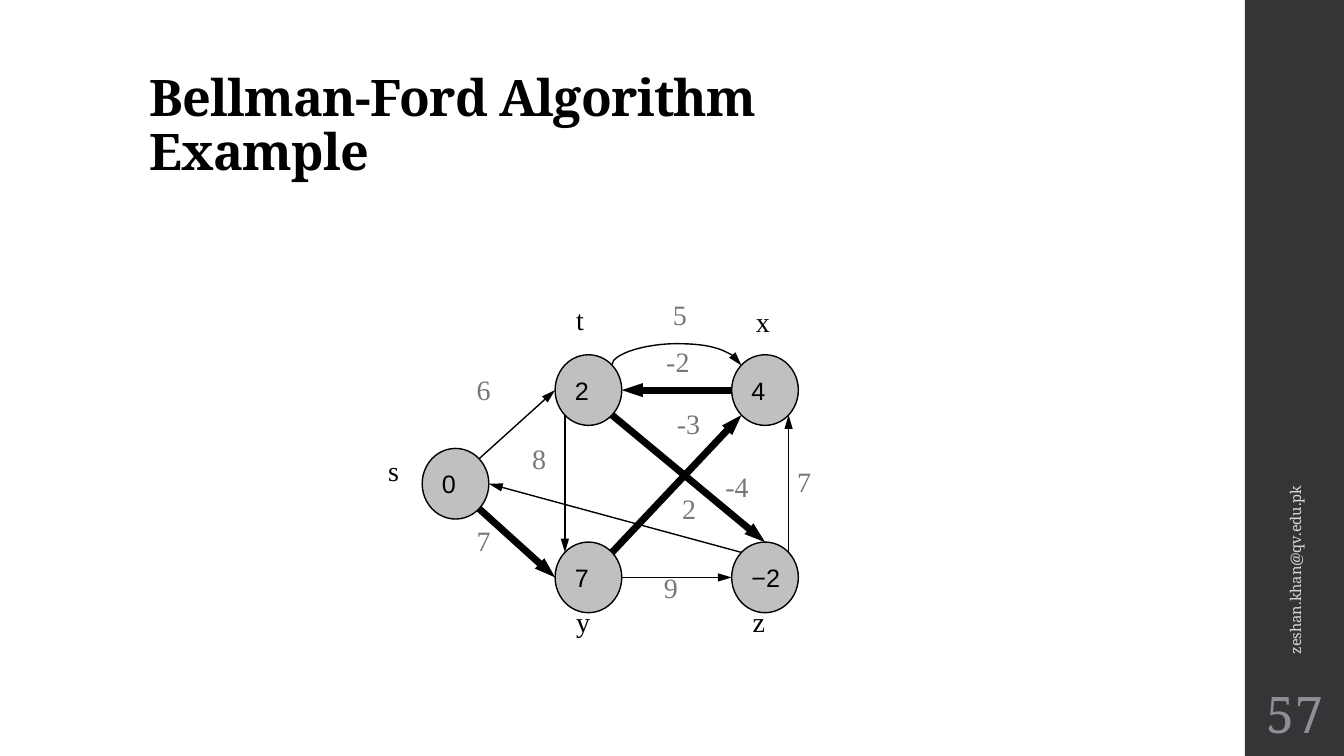
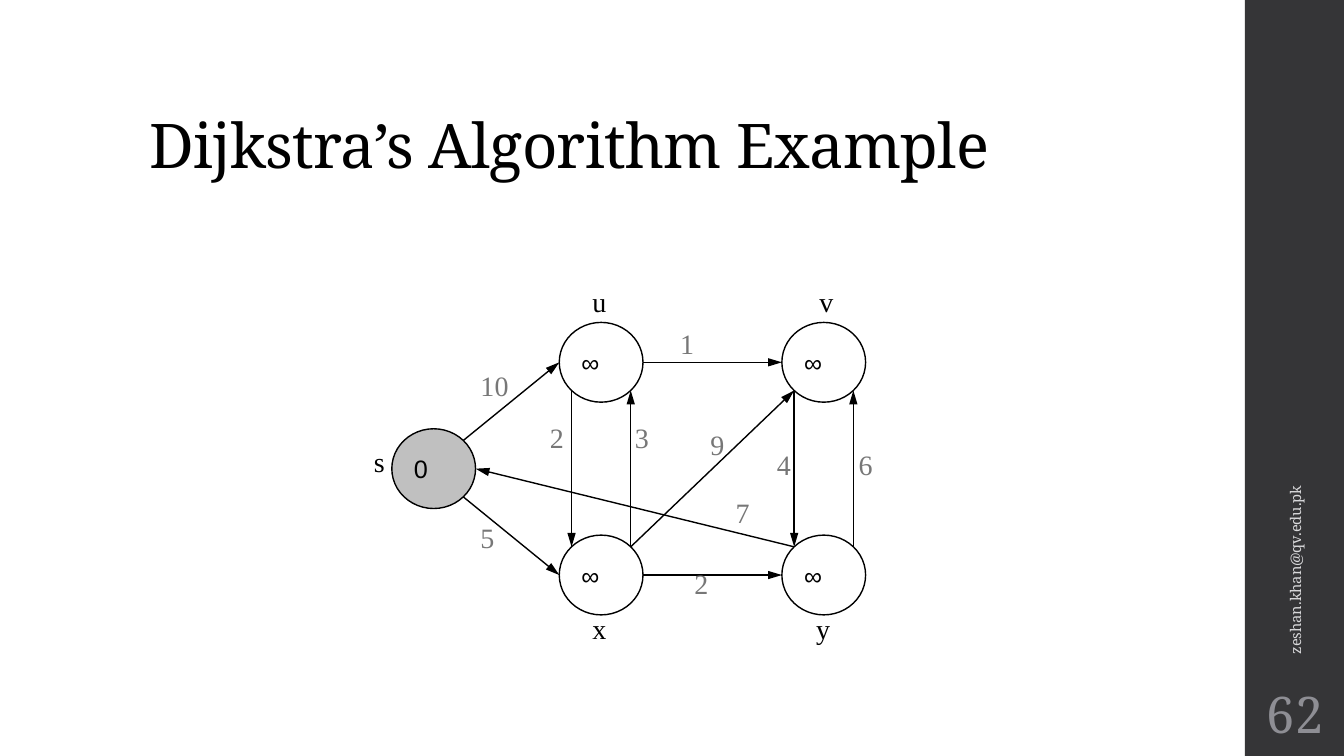
from pptx import Presentation
from pptx import util as u
from pptx.dml import color
from pptx.enum import shapes, text
from pptx.oxml import ns
from lxml import etree

INK, GREY, NODE = "000000", "777777", "C0C0C0"
BAND, CONTACT, NUMBER = "353537", "D9D9DB", "8E8E94"
SERIF, SANS, LABEL = "Noto Serif", "Arial", "Times New Roman"
SIDES = {"n": (0, -1), "s": (0, 1), "w": (-1, 0), "e": (1, 0),
         "nw": (-1, -1), "ne": (1, -1), "sw": (-1, 1), "se": (1, 1)}
DIAGONAL = 0.5 ** 0.5
THIN, THICK = 1, 5


def rgb(value):
    return color.RGBColor.from_string(value)


def add_xml(parent, tag, **attributes):
    return etree.SubElement(parent, ns.qn(tag), attributes)


def write(box, words, size, font, ink, bold=False, align=text.PP_ALIGN.LEFT,
          anchor=text.MSO_ANCHOR.TOP, wrap=True, leading=None, spacing=None):
    frame = box.text_frame
    frame.word_wrap = wrap
    frame.vertical_anchor = anchor
    para = frame.paragraphs[0]
    para.text = words
    para.alignment = align
    para.line_spacing = leading
    for span in para.runs:
        span.font.size = u.Pt(size)
        span.font.name = font
        span.font.bold = bold
        span.font.color.rgb = rgb(ink)
        if spacing:
            span.font._element.set("spc", str(spacing))


class Slides:
    def __init__(self):
        self.deck = Presentation()
        self.deck.slide_width = u.Cm(33.87)
        self.deck.slide_height = u.Cm(19.05)
        self.page = None

    def start(self, title, number, size, bold=False):
        self.page = self.deck.slides.add_slide(self.deck.slide_layouts[6])
        middle = text.MSO_ANCHOR.MIDDLE
        self.shape(shapes.MSO_SHAPE.RECTANGLE, 31.37, 0, 2.54, 19.05, BAND)
        write(self.box(3.51, 1.02, 26.92, 3.68), title, size, SERIF, INK, bold=bold,
              anchor=text.MSO_ANCHOR.BOTTOM, leading=0.9, spacing=-50)
        contact = self.box(27.66, 11.25, 9.96, 1.02)
        contact.rotation = 270
        write(contact, "zeshan.khan@qv.edu.pk", 10.5, SERIF, CONTACT, anchor=middle)
        counter = self.box(31.37, 17.15, 2.54, 1.65)
        frame = counter.text_frame
        frame.margin_left = frame.margin_right = u.Cm(0.13)
        frame.margin_top = frame.margin_bottom = u.Cm(0.13)
        write(counter, number, 36, SERIF, NUMBER, align=text.PP_ALIGN.CENTER, anchor=middle)

    def box(self, left, top, width, height):
        return self.page.shapes.add_textbox(u.Cm(left), u.Cm(top), u.Cm(width), u.Cm(height))

    def shape(self, kind, left, top, width, height, fill=None, line=None):
        shape = self.page.shapes.add_shape(
            kind, u.Cm(left), u.Cm(top), u.Cm(width), u.Cm(height))
        shape.shadow.inherit = False
        if fill:
            shape.fill.solid()
            shape.fill.fore_color.rgb = rgb(fill)
        else:
            shape.fill.background()
        if line:
            shape.line.color.rgb = rgb(line)
            shape.line.width = u.Pt(THIN)
        else:
            shape.line.fill.background()
        return shape

    def label(self, words, left, top, width, ink):
        write(self.box(left, top, width, 1.09), words, 20, LABEL, ink)

    def node(self, center, size, value, fill):
        (x, y), (width, height) = center, size
        circle = self.shape(shapes.MSO_SHAPE.OVAL, x - width / 2, y - height / 2,
                            width, height, fill, INK)
        write(circle, value, 18, SANS, INK, anchor=text.MSO_ANCHOR.MIDDLE, wrap=False)

    def arrow(self, start, end, weight=THIN, kind=shapes.MSO_CONNECTOR.STRAIGHT):
        arrow = self.page.shapes.add_connector(
            kind, *(u.Cm(value) for value in (*start, *end)))
        arrow.line.color.rgb = rgb(INK)
        arrow.line.width = u.Pt(weight)
        width, length = ("sm", "med") if weight == THICK else ("med", "lg")
        add_xml(arrow.line._get_or_add_ln(), "a:tailEnd", type="triangle", w=width, len=length)
        add_xml(arrow._element.spPr, "a:effectLst")
        return arrow

    def arc(self, start, end, rise):
        thickness, span = 0.02, end[0] - start[0]
        arc = self.arrow(start, end, kind=shapes.MSO_CONNECTOR.CURVE)
        arc.left = u.Cm((start[0] + end[0] - thickness) / 2)
        arc.top = u.Cm(start[1] - span / 2)
        arc.width, arc.height = u.Cm(thickness), u.Cm(span)
        properties = arc._element.spPr
        frame = properties.find(ns.qn("a:xfrm"))
        frame.set("rot", "5400000")
        frame.set("flipV", "1")
        guides = properties.find(ns.qn("a:prstGeom")).find(ns.qn("a:avLst"))
        ratio = round(-rise / thickness * 100000)
        add_xml(guides, "a:gd", name="adj1", fmla=f"val {ratio}")

    def graph(self, size, label_width, nodes, edges):
        def port(name, side):
            dx, dy = SIDES[side]
            reach = DIAGONAL if dx and dy else 1
            x, y = nodes[name][0]
            return x + dx * reach * size[0] / 2, y + dy * reach * size[1] / 2

        for center, value, fill, _ in nodes.values():
            self.node(center, size, value, fill)
        for route, weight, *_ in edges:
            tail, tail_side, head, head_side = route.split()
            start, end = port(tail, tail_side), port(head, head_side)
            if weight:
                self.arrow(start, end, weight)
            else:
                self.arc(start, end, 0.53)
        for name, (_, _, _, place) in nodes.items():
            self.label(name, *place, label_width, INK)
        for _, _, cost, left, top, *width in edges:
            self.label(cost, left, top, width[0] if width else label_width, GREY)


slides = Slides()

slides.start("Bellman-Ford Algorithm\vExample", "57", 36, bold=True)
near, far, upper, lower = 14.83, 19.28, 9.83, 14.55
slides.graph((1.68, 1.78), 1.12, {
    "t": ((near, upper), "2", NODE, (14.27, 7.49)),
    "x": ((far, upper), "4", NODE, (18.8, 7.54)),
    "y": ((near, lower), "7", NODE, (14.27, 15.11)),
    "z": ((far, lower), "\u22122", NODE, (18.72, 15.11)),
    "s": ((11.48, (upper + lower) / 2), "0", NODE, (9.53, 11.3)),
}, [
    ("t sw y nw", THIN, "8", 13.16, 11),
    ("t ne x nw", None, "5", 16.71, 7.37, 1.68),
    ("y ne x sw", THICK, "-3", 16.81, 10.13, 1.57),
    ("z ne x se", THIN, "7", 19.84, 11.58),
    ("y e z w", THIN, "9", 16.48, 14.25),
    ("z nw s e", THIN, "2", 16.94, 12.27),
    ("s se y w", THICK, "7", 11.76, 13.06, 1.68),
    ("s ne t w", THIN, "6", 11.76, 9.25, 1.68),
    ("x w t e", THICK, "-2", 16.54, 8.56, 1.68),
    ("t se z n", THICK, "-4", 18.03, 11.71, 1.57),
])

slides.start("Dijkstra\u2019s Algorithm Example", "62", 44)
near, far, upper, lower = 15.15, 20.76, 9.13, 14.49
slides.graph((2.11, 2.01), 1.4, {
    "u": ((near, upper), "\u221e", None, (14.68, 7.04)),
    "v": ((far, upper), "\u221e", None, (20.4, 7.04)),
    "x": ((near, lower), "\u221e", None, (14.68, 15.29)),
    "y": ((far, lower), "\u221e", None, (20.32, 15.29)),
    "s": ((10.93, (upper + lower) / 2), "0", NODE, (9.17, 11.07)),
}, [
    ("u sw x nw", THIN, "2", 13.61, 10.46),
    ("x ne u se", THIN, "3", 15.75, 10.46),
    ("u e v w", THIN, "1", 16.89, 8.1, 2.11),
    ("x ne v sw", THIN, "9", 17.65, 10.64),
    ("v sw y nw", THIN, "4", 19.33, 11.15),
    ("y ne v se", THIN, "6", 21.39, 11.15),
    ("x e y w", THIN, "2", 17.25, 14.15),
    ("y nw s e", THIN, "7", 18.29, 12.37),
    ("s se x w", THIN, "5", 11.86, 12.98, 2.11),
    ("s ne u w", THIN, "10", 11.86, 9.17, 2.11),
])

slides.deck.save("out.pptx")
